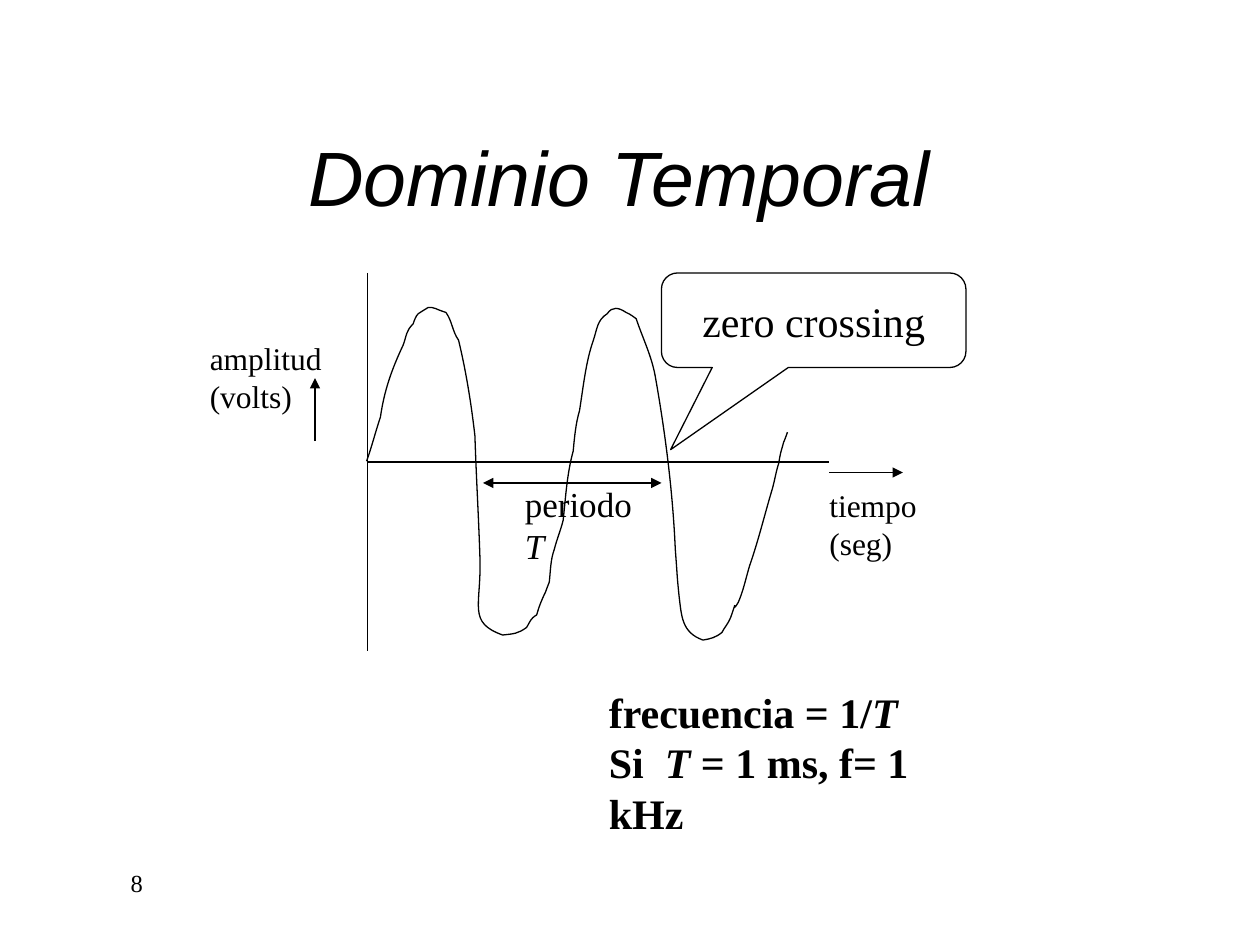
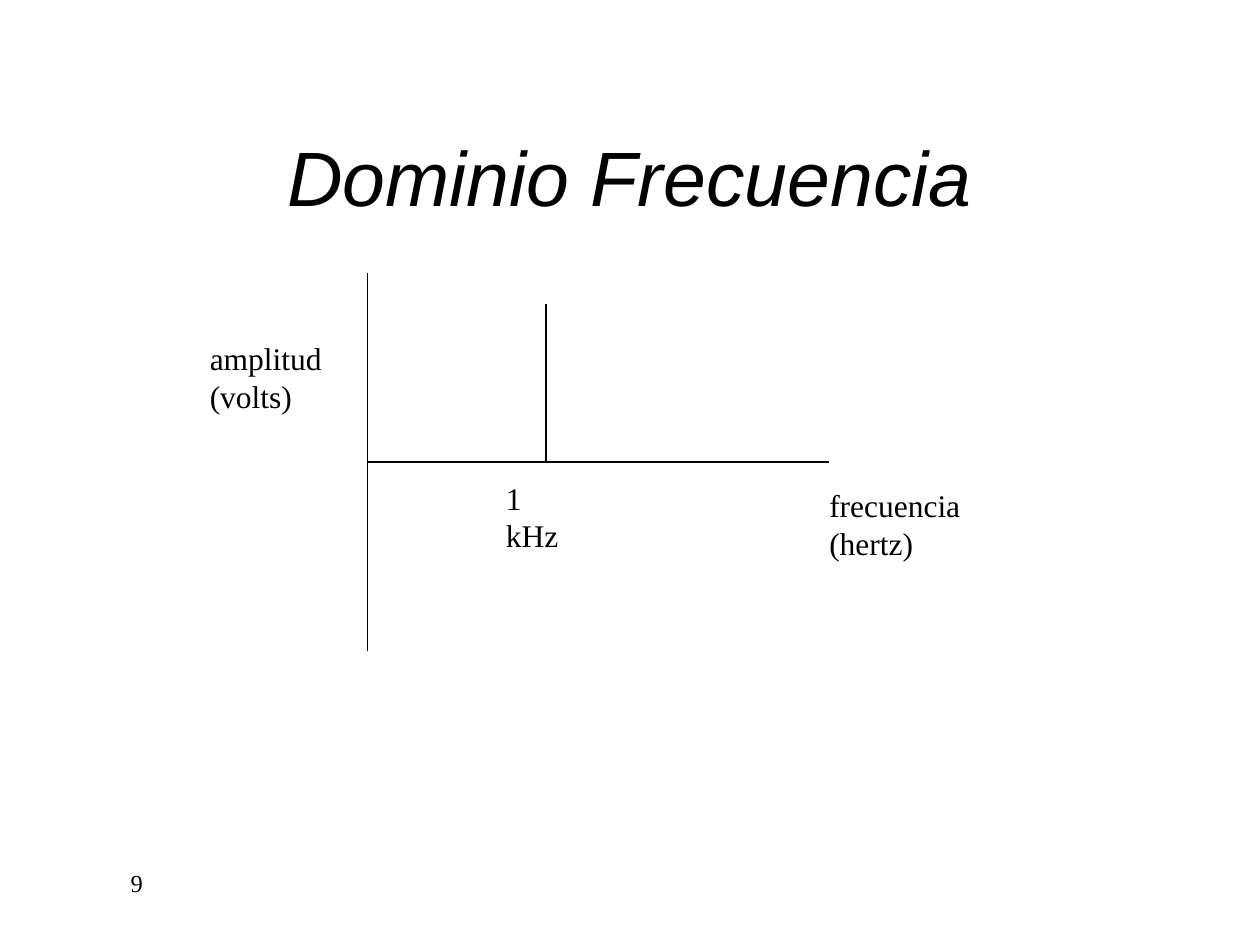
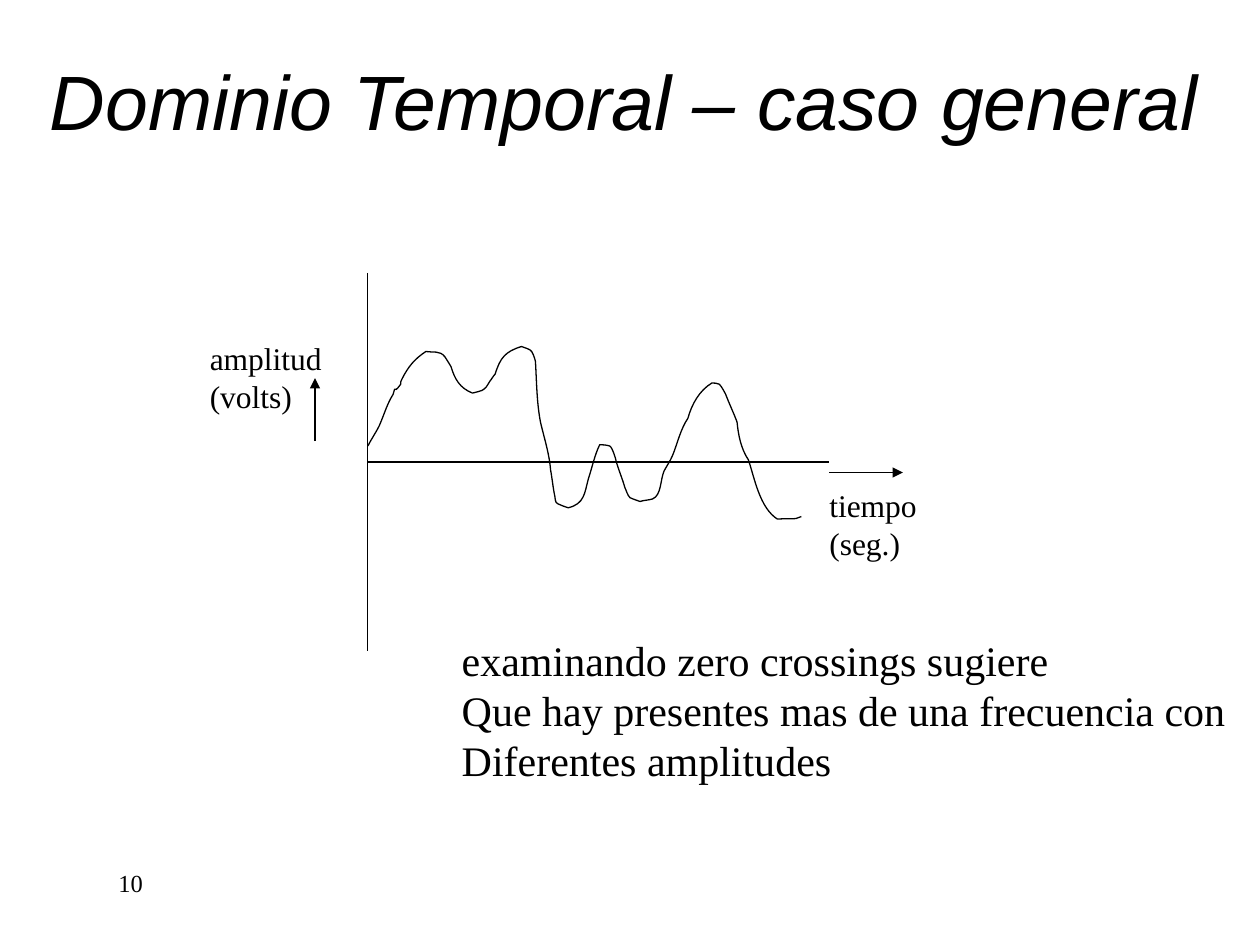
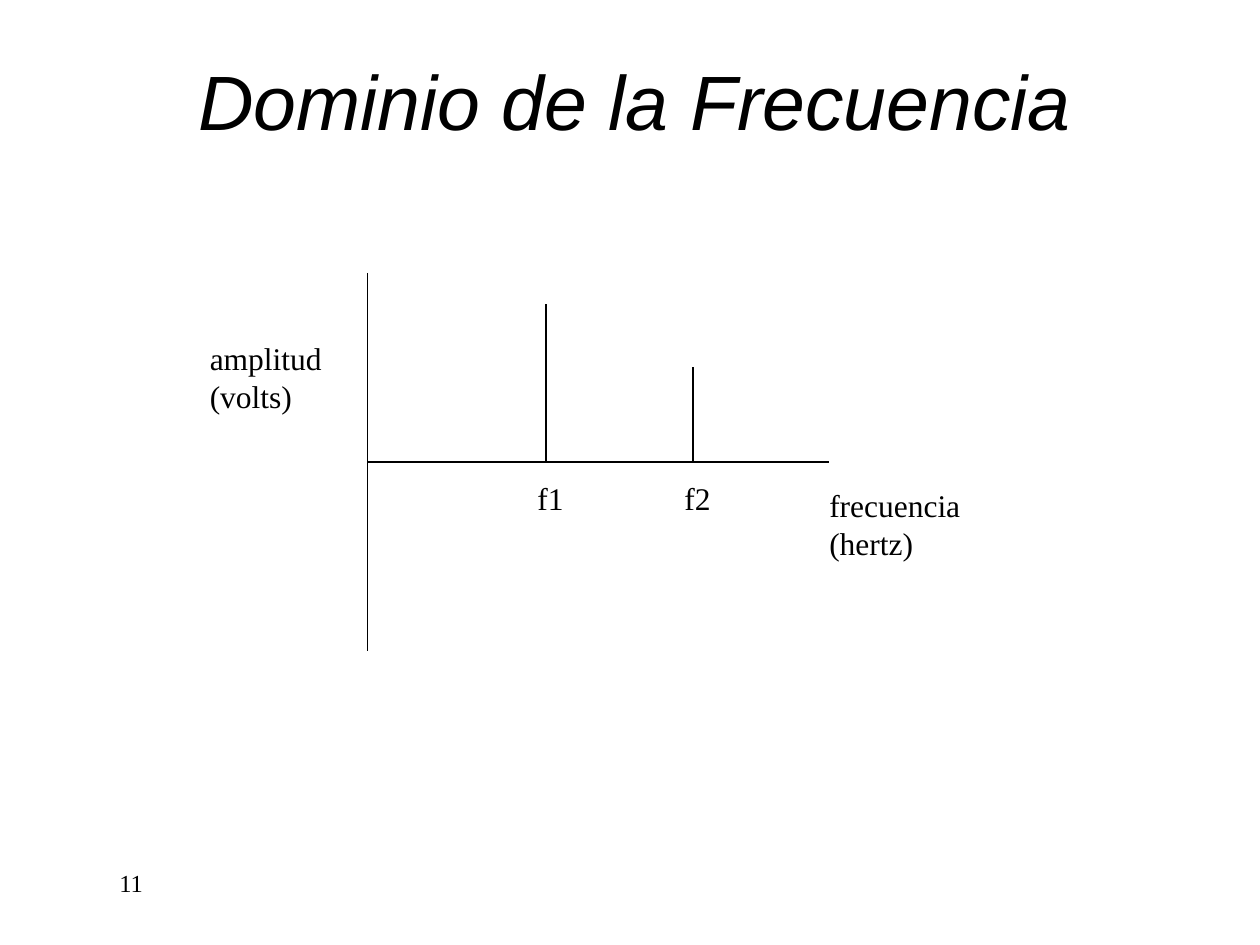
"""Builds four slides that compare signals in the time and frequency domains."""
from lxml import etree
from pptx import Presentation, util as u
from pptx.dml.color import RGBColor
from pptx.enum import shapes, text
from pptx.oxml.ns import qn

INK = RGBColor.from_string("000000")
PAPER = RGBColor.from_string("FFFFFF")
SERIF, SANS = "Times New Roman", "Arial"
LINE_WIDTH = u.Pt(0.75)
LEFT, CENTER, RIGHT = text.PP_ALIGN.LEFT, text.PP_ALIGN.CENTER, text.PP_ALIGN.RIGHT
TOP, MIDDLE = text.MSO_ANCHOR.TOP, text.MSO_ANCHOR.MIDDLE
AXIS_X, AXIS_Y, AXIS_TOP, AXIS_BOTTOM, AXIS_END = 35, 44, 26, 62, 79
INSET = 1.2

presentation = Presentation()
presentation.slide_width, presentation.slide_height = u.Inches(10), u.Inches(7.5)
CELL = presentation.slide_width // 120


def add_text(slide, box, lines, size=18, font=SERIF, align=LEFT, anchor=TOP,
             bold=False, italic=False, preset=None):
    left, top, width, height = [round(length * CELL) for length in box]
    if preset is None:
        shape = slide.shapes.add_textbox(left, top, width, height)
    else:
        shape = slide.shapes.add_shape(preset, left, top, width, height)
        shape.shadow.inherit = False
        shape.fill.background()
        shape.line.color.rgb, shape.line.width = INK, LINE_WIDTH
    frame = shape.text_frame
    frame.word_wrap = align != LEFT
    if align == LEFT:
        frame.auto_size = text.MSO_AUTO_SIZE.SHAPE_TO_FIT_TEXT
    frame.vertical_anchor = anchor
    for number, line in enumerate(lines):
        paragraph = frame.add_paragraph() if number else frame.paragraphs[0]
        paragraph.alignment = align
        for position, words in enumerate(line.split("*")):
            if words:
                run = paragraph.add_run()
                run.text = words
                run.font.name, run.font.size = font, u.Pt(size)
                run.font.bold, run.font.italic = bold, italic or position % 2 == 1
                run.font.color.rgb = INK
    return shape


def add_line(slide, start, end, arrows=()):
    ends = [round(length * CELL) for length in (*start, *end)]
    connector = slide.shapes.add_connector(shapes.MSO_CONNECTOR.STRAIGHT, *ends)
    connector.line.color.rgb, connector.line.width = INK, LINE_WIDTH
    properties = connector._element.spPr
    for arrow in arrows:
        etree.SubElement(properties.find(qn("a:ln")), qn(f"a:{arrow}"), type="triangle")
    etree.SubElement(properties, qn("a:effectLst"))


SINE = [
    (2.91, 3.66), (2.95, 3.55), (2.98, 3.43), (3.02, 3.31), (3.05, 3.1), (3.11, 2.93),
    (3.2, 2.74), (3.23, 2.66), (3.22, 2.63), (3.28, 2.57), (3.29, 2.54), (3.3, 2.51),
    (3.32, 2.49), (3.35, 2.47), (3.4, 2.44), (3.4, 2.44), (3.42, 2.44), (3.44, 2.44),
    (3.46, 2.45), (3.48, 2.46), (3.54, 2.48), (3.54, 2.48), (3.59, 2.55), (3.59, 2.63),
    (3.64, 2.7), (3.7, 2.95), (3.74, 3.2), (3.77, 3.46), (3.78, 3.78), (3.8, 4.11),
    (3.81, 4.44), (3.82, 4.81), (3.71, 4.94), (3.99, 5.04), (4.08, 5.03), (4.11, 5.03),
    (4.18, 4.98), (4.21, 4.93), (4.21, 4.91), (4.26, 4.88), (4.28, 4.81), (4.3, 4.76),
    (4.33, 4.7), (4.34, 4.67), (4.36, 4.62), (4.36, 4.62), (4.37, 4.53), (4.37, 4.44),
    (4.4, 4.36), (4.42, 4.28), (4.45, 4.21), (4.47, 4.13), (4.49, 3.95), (4.5, 3.76),
    (4.55, 3.58), (4.56, 3.47), (4.57, 3.36), (4.6, 3.26), (4.63, 3.07), (4.65, 2.87),
    (4.71, 2.7), (4.74, 2.61), (4.74, 2.54), (4.82, 2.49), (4.86, 2.43), (4.91, 2.44),
    (4.97, 2.48), (5, 2.49), (5.05, 2.53), (5.05, 2.53), (5.1, 2.68), (5.17, 2.82),
    (5.2, 2.98), (5.28, 3.43), (5.34, 3.9), (5.36, 4.36), (5.38, 4.62), (5.37, 4.53),
    (5.39, 4.73), (5.41, 4.89), (5.41, 5.02), (5.58, 5.08), (5.64, 5.07), (5.68, 5.06),
    (5.73, 5.02), (5.75, 4.98), (5.78, 4.95), (5.8, 4.9), (5.87, 4.7), (5.79, 4.9),
    (5.86, 4.78), (5.9, 4.69), (5.92, 4.59), (5.95, 4.49), (6.02, 4.29), (6.07, 4.08),
    (6.13, 3.88), (6.15, 3.81), (6.16, 3.74), (6.18, 3.68), (6.2, 3.57), (6.19, 3.62),
    (6.22, 3.51), (6.23, 3.49), (6.25, 3.43), (6.25, 3.43),
]
MIXED = [
    (2.92, 3.54), (2.95, 3.48), (2.98, 3.44), (3.01, 3.38), (3.05, 3.29), (3.07, 3.21),
    (3.12, 3.13), (3.15, 3.03), (3.11, 3.15), (3.18, 3.05), (3.18, 3.04), (3.18, 3.02),
    (3.19, 3.01), (3.24, 2.91), (3.29, 2.85), (3.38, 2.79), (3.44, 2.8), (3.49, 2.78),
    (3.53, 2.83), (3.55, 2.86), (3.58, 2.91), (3.58, 2.91), (3.61, 3.01), (3.65, 3.08),
    (3.75, 3.12), (3.75, 3.12), (3.84, 3.1), (3.84, 3.09), (3.87, 3.07), (3.88, 3.03),
    (3.9, 3.01), (3.91, 2.99), (3.93, 2.97), (3.93, 2.97), (3.97, 2.84), (4.01, 2.79),
    (4.14, 2.75), (4.16, 2.76), (4.21, 2.77), (4.22, 2.79), (4.24, 2.82), (4.25, 2.87),
    (4.25, 2.87), (4.26, 3.04), (4.26, 3.19), (4.29, 3.35), (4.32, 3.48), (4.36, 3.6),
    (4.37, 3.73), (4.38, 3.78), (4.39, 3.87), (4.4, 3.92), (4.41, 3.95), (4.4, 3.99),
    (4.43, 4), (4.48, 4.02), (4.45, 4.01), (4.51, 4.03), (4.64, 4), (4.64, 3.91),
    (4.67, 3.8), (4.7, 3.71), (4.72, 3.61), (4.76, 3.53), (4.78, 3.53), (4.81, 3.53),
    (4.84, 3.54), (4.86, 3.55), (4.89, 3.65), (4.89, 3.66), (4.91, 3.73), (4.94, 3.8),
    (4.96, 3.87), (4.97, 3.89), (4.98, 3.93), (5, 3.95), (5.02, 3.96), (5.08, 3.98),
    (5.08, 3.98), (5.11, 3.97), (5.15, 3.97), (5.18, 3.96), (5.25, 3.93), (5.24, 3.81),
    (5.27, 3.74), (5.29, 3.7), (5.32, 3.66), (5.34, 3.61), (5.38, 3.51), (5.4, 3.41),
    (5.46, 3.32), (5.49, 3.21), (5.55, 3.1), (5.65, 3.04), (5.67, 3.04), (5.69, 3.04),
    (5.71, 3.05), (5.73, 3.07), (5.76, 3.13), (5.76, 3.13), (5.79, 3.21), (5.82, 3.27),
    (5.85, 3.35), (5.86, 3.45), (5.88, 3.56), (5.94, 3.65), (5.99, 3.8), (6.03, 4.03),
    (6.17, 4.12), (6.34, 4.11), (6.28, 4.13), (6.36, 4.1),
]

LOW_TITLE, HIGH_TITLE, WIDE_TITLE = (9, 9.2, 102, 15), (3, 2, 113, 15), (3, 2, 115, 15)
PAGES = [
    ("Dominio Temporal ", LOW_TITLE, ["tiempo", "(seg)"], SINE, []),
    ("Dominio Frecuencia", LOW_TITLE, ["frecuencia", "(hertz)"], None,
     [("1 kHz", 52, 29, 47, 9.6)]),
    ("Dominio Temporal – caso general ", HIGH_TITLE, ["tiempo", "(seg.)"], MIXED, []),
    ("Dominio de la Frecuencia", WIDE_TITLE, ["frecuencia", "(hertz)"], None,
     [("f1", 52, 29, 50, 4.9), ("f2", 66, 35, 64, 4.9)]),
]

slides = []
for number, (title, title_box, axis_name, wave, spikes) in enumerate(PAGES, start=8):
    slide = presentation.slides.add_slide(presentation.slide_layouts[6])
    slides.append(slide)
    slide.background.fill.solid()
    slide.background.fill.fore_color.rgb = PAPER
    add_text(slide, (2.6, 82.1, 12.2, 4), [str(number)], 14, align=RIGHT, anchor=MIDDLE)
    add_text(slide, title_box, [title], 44, SANS, CENTER, MIDDLE, italic=True)
    add_line(slide, (AXIS_X, AXIS_TOP), (AXIS_X, AXIS_BOTTOM))
    add_line(slide, (AXIS_X, AXIS_Y), (AXIS_END, AXIS_Y))
    add_text(slide, (20 - INSET, 31.7, 13.1, 8.4), ["amplitud", "(volts)"])
    name_width = 10.7 if wave else 14.9
    add_text(slide, (AXIS_END - INSET, 45.7, name_width, 8.4), axis_name)

    for label, column, peak, label_left, label_width in spikes:
        add_line(slide, (column, AXIS_Y), (column, peak))
        add_text(slide, (label_left, 45, label_width, 4.8), [label])

    if wave:
        add_line(slide, (AXIS_END, 45), (86, 45), ["tailEnd"])
        add_line(slide, (30, 42), (30, 36), ["tailEnd"])
        points = [(u.Inches(x), u.Inches(y)) for x, y in wave]
        builder = slide.shapes.build_freeform(*points[0])
        builder.add_line_segments(points[1:], close=False)
        curve = builder.convert_to_shape()
        curve.shadow.inherit = False
        curve.fill.background()
        curve.line.color.rgb, curve.line.width = INK, LINE_WIDTH
        segments = list(curve._element.iter(qn("a:lnTo")))
        outline = segments[0].getparent()
        for first in range(0, len(segments), 3):
            bezier = etree.SubElement(outline, qn("a:cubicBezTo"))
            for segment in segments[first:first + 3]:
                bezier.append(segment[0])
                outline.remove(segment)

sine_slide, mixed_slide = slides[0], slides[2]
add_line(sine_slide, (46, 46), (63, 46), ["headEnd", "tailEnd"])
add_text(sine_slide, (50 - INSET, 45.4, 15.2, 5.3), ["periodo *T*"], 20)
add_text(sine_slide, (58 - INSET, 64.8, 39, 10.8),
         ["frecuencia = 1/*T*", "Si  *T* = 1 ms, f= 1 kHz"], 24, bold=True)
callout = add_text(sine_slide, (63, 26, 29, 9), ["zero crossing"], 24, align=CENTER,
                   anchor=MIDDLE, preset=shapes.MSO_SHAPE.ROUNDED_RECTANGULAR_CALLOUT)
for index, share in enumerate((-0.47, 1.37, 0.17)):
    callout.adjustments[index] = share
add_text(mixed_slide, (44 - INSET, 59.8, 76.1, 15.6),
         ["examinando zero crossings sugiere",
          "Que hay presentes mas de una frecuencia con",
          "Diferentes amplitudes"], 24)

presentation.save("out.pptx")
